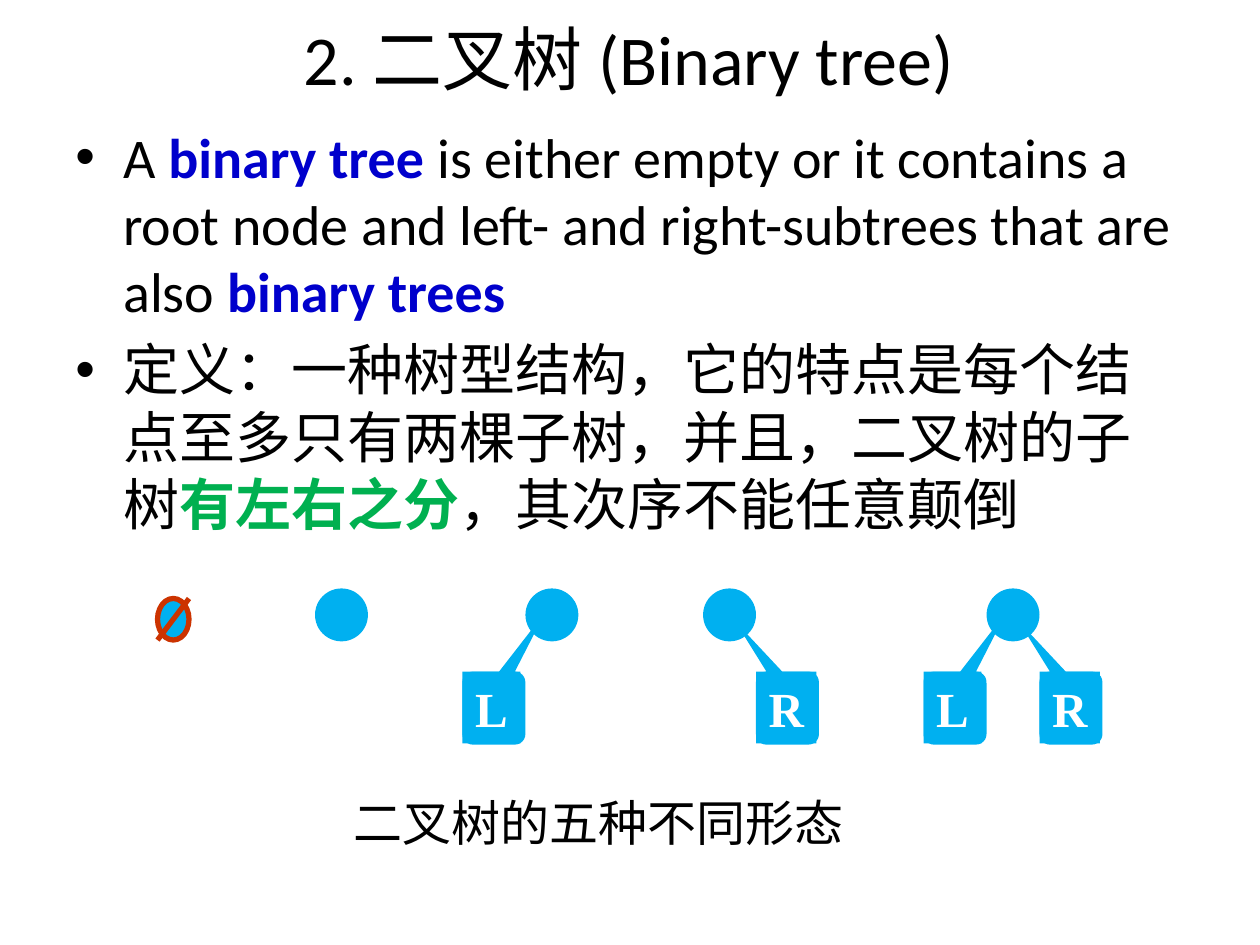
from lxml.etree import SubElement
from pptx import Presentation
from pptx.dml.color import RGBColor
from pptx.enum.shapes import MSO_CONNECTOR as Connector, MSO_SHAPE as Shape
from pptx.enum.text import MSO_ANCHOR as Anchor, MSO_AUTO_SIZE as AutoSize, PP_ALIGN as Align
from pptx.oxml.ns import qn
from pptx.util import Inches, Pt

BLACK, WHITE, BLUE, GREEN = "000000", "FFFFFF", "0000CC", "00B050"
SKY, RED = "00B0F0", "CC3300"

TITLE = "2. 二叉树 (Binary tree)"
CAPTION = "二叉树的五种不同形态"
DEFINITIONS = [
    [("A ", BLACK), ("binary tree ", BLUE),
     ("is either empty or it contains a root node and left- and right-subtrees that are also ", BLACK),
     ("binary trees", BLUE)],
    [("定义：一种树型结构，它的特点是每个结点至多只有两棵子树，并且，二叉树的子树", BLACK),
     ("有左右之分", GREEN), ("，其次序不能任意颠倒", BLACK)],
]
TREES = [(2.5, ""), (4.17, "L"), (5.58, "R"), (7.83, "LR")]
ROOT_TOP, ROOT_SIZE = 4.67, 0.42
SUBTREE_TOP, SUBTREE_WIDTH, SUBTREE_HEIGHT = 5.33, 0.5, 0.58
SUBTREES = {
    "L": (-SUBTREE_WIDTH, 0.46, (0.819, -1.318, 0.167)),
    "R": (ROOT_SIZE, 0.48, (-0.83, -1.188, 0.167)),
}
EMPTY_LEFT, EMPTY_TOP, EMPTY_WIDTH, EMPTY_HEIGHT = 1.25, 4.75, 0.25, 0.33


def color(value):
    return RGBColor.from_string(value)


def style(paragraph, size, name, ink=None, bold=None):
    font = paragraph.font
    font.size, font.name, font.bold = Pt(size), name, bold
    if ink:
        font.color.rgb = color(ink)


def add_text(slide, left, top, width, height):
    frame = slide.shapes.add_textbox(*map(Inches, (left, top, width, height))).text_frame
    frame.word_wrap = True
    return frame


def add_filled(slide, kind, left, top, width, height):
    shape = slide.shapes.add_shape(kind, *map(Inches, (left, top, width, height)))
    shape.shadow.inherit = False
    shape.fill.solid()
    shape.fill.fore_color.rgb = color(SKY)
    shape.line.fill.background()
    return shape


def outline(line):
    line.color.rgb = color(RED)
    line.width = Pt(3)


def add_title(slide):
    frame = add_text(slide, 0.49, 0, 9, 0.92)
    frame.vertical_anchor = Anchor.MIDDLE
    heading = frame.paragraphs[0]
    heading.text = TITLE
    heading.alignment = Align.CENTER
    style(heading, 40, "Calibri", BLACK)


def add_definitions(slide):
    frame = add_text(slide, 0.5, 0.92, 9, 6.58)
    for index, parts in enumerate(DEFINITIONS):
        item = frame.add_paragraph() if index else frame.paragraphs[0]
        style(item, 32, "Calibri")
        item.space_before = Pt(6.4)
        properties = item._p.get_or_add_pPr()
        properties.set("marL", str(Inches(0.38)))
        properties.set("indent", str(Inches(-0.38)))
        bullet_font = SubElement(properties, qn("a:buFont"), typeface="Arial")
        bullet = SubElement(properties, qn("a:buChar"), char="•")
        properties.remove(bullet_font)
        properties.remove(bullet)
        defaults = properties.find(qn("a:defRPr"))
        defaults.addprevious(bullet_font)
        defaults.addprevious(bullet)
        for words, ink in parts:
            run = item.add_run()
            run.text = words
            run.font.color.rgb = color(ink)
            run.font.bold = ink != BLACK


def add_empty_tree(slide):
    ring = add_filled(slide, Shape.OVAL, EMPTY_LEFT, EMPTY_TOP, EMPTY_WIDTH, EMPTY_HEIGHT)
    outline(ring.line)
    slash = slide.shapes.add_connector(
        Connector.STRAIGHT, Inches(EMPTY_LEFT + EMPTY_WIDTH), Inches(EMPTY_TOP),
        Inches(EMPTY_LEFT), Inches(EMPTY_TOP + EMPTY_HEIGHT))
    outline(slash.line)
    SubElement(slash._element.spPr, qn("a:effectLst"))


def add_subtree(slide, root_left, side):
    offset, label_width, pointer = SUBTREES[side]
    left = root_left + offset
    callout = add_filled(slide, Shape.ROUNDED_RECTANGULAR_CALLOUT, left, SUBTREE_TOP,
                         SUBTREE_WIDTH, SUBTREE_HEIGHT)
    for index, value in enumerate(pointer):
        callout.adjustments[index] = value
    label = add_filled(slide, Shape.RECTANGLE, left, SUBTREE_TOP, label_width, 0.57)
    frame = label.text_frame
    frame.word_wrap = False
    frame.auto_size = AutoSize.SHAPE_TO_FIT_TEXT
    frame.vertical_anchor = Anchor.MIDDLE
    letter = frame.paragraphs[0]
    letter.text = side
    letter.alignment = Align.CENTER
    style(letter, 28, "Times New Roman", WHITE, True)


def add_caption(slide):
    frame = add_text(slide, 2.71, 6.24, 4.15, 0.57)
    frame.word_wrap = False
    frame.auto_size = AutoSize.SHAPE_TO_FIT_TEXT
    caption = frame.paragraphs[0]
    caption.text = CAPTION
    style(caption, 28, "Arial", BLACK)


def main():
    """Build the slide on the definition and five forms of a binary tree."""
    deck = Presentation()
    deck.slide_width, deck.slide_height = Inches(10), Inches(7.5)
    slide = deck.slides.add_slide(deck.slide_layouts[6])
    add_title(slide)
    add_definitions(slide)
    add_empty_tree(slide)
    for left, sides in TREES:
        for side in sides:
            add_subtree(slide, left, side)
        add_filled(slide, Shape.OVAL, left, ROOT_TOP, ROOT_SIZE, ROOT_SIZE)
    add_caption(slide)
    deck.save("out.pptx")


if __name__ == "__main__":
    main()
